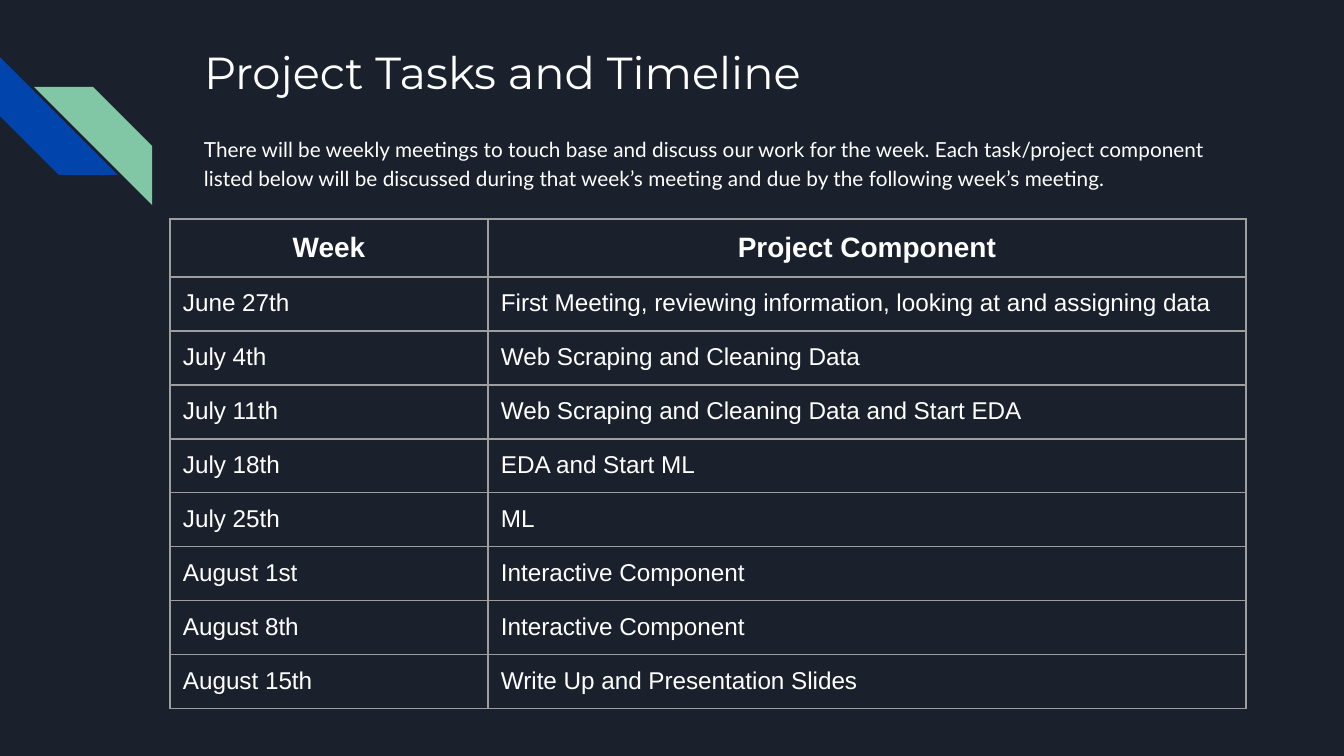
from lxml.etree import SubElement
from pptx import Presentation
from pptx.dml.color import RGBColor
from pptx.enum.shapes import MSO_SHAPE
from pptx.enum.text import MSO_ANCHOR, MSO_AUTO_SIZE, PP_ALIGN
from pptx.oxml.ns import qn
from pptx.util import Emu, Pt

BACKGROUND, WHITE, BLUE, GREEN, GRID = "1B212C", "FFFFFF", "0145AC", "82C7A5", "9E9E9E"
PAD = 13

TITLE = "Project Tasks and Timeline"
INTRO = (
    "There will be weekly meetings to touch base and discuss our work for the week. "
    "Each task/project component listed below will be discussed during that week’s "
    "meeting and due by the following week’s meeting."
)
SCHEDULE = [
    ("Week", "Project Component"),
    ("June 27th", "First Meeting, reviewing information, looking at and assigning data"),
    ("July 4th", "Web Scraping and Cleaning Data"),
    ("July 11th", "Web Scraping and Cleaning Data and Start EDA"),
    ("July 18th", "EDA and Start ML"),
    ("July 25th", "ML"),
    ("August 1st", "Interactive Component"),
    ("August 8th", "Interactive Component"),
    ("August 15th", "Write Up and Presentation Slides"),
]


def px(n):
    return Emu(round(n * 914400 / 134.4))


def color(value):
    return RGBColor.from_string(value)


def set_margins(target):
    """Pad a text frame or a table cell evenly."""
    target.margin_left = target.margin_right = px(PAD)
    target.margin_top = target.margin_bottom = px(PAD)


def style_paragraph(p, font, size, bold=False, align=PP_ALIGN.LEFT):
    p.alignment = align
    p.font.name = font
    p.font.size = Pt(size)
    p.font.bold = bold
    p.font.color.rgb = color(WHITE)


def fill_text(sp, box, text, font, size):
    """Place a text shape and write one top-anchored paragraph in it."""
    sp.left, sp.top, sp.width, sp.height = map(px, box)
    tf = sp.text_frame
    tf.word_wrap = True
    tf.auto_size = MSO_AUTO_SIZE.NONE
    tf.vertical_anchor = MSO_ANCHOR.TOP
    set_margins(tf)
    p = tf.paragraphs[0]
    p.text = text
    style_paragraph(p, font, size)
    return p


def add_stripes(s, x, y, size):
    for dx, dy, rotation, fill in [(0, 0, 270, BLUE), (34, 30, 90, GREEN)]:
        sp = s.shapes.add_shape(
            MSO_SHAPE.DIAGONAL_STRIPE, px(x + dx), px(y + dy), px(size), px(size)
        )
        sp.rotation = rotation
        sp.fill.solid()
        sp.fill.fore_color.rgb = color(fill)
        sp.line.fill.background()
        sp.shadow.inherit = False


def add_heading(s, x, y, w):
    fill_text(s.shapes.title, (x, y, w, 134), TITLE, "Montserrat", 24)
    intro = s.shapes.add_textbox(0, 0, 0, 0)
    p = fill_text(intro, (x, y + 88, w, 99), INTRO, "Lato", 11.1)
    p.line_spacing = 1.15
    p.space_after = Pt(12)


def set_borders(cell):
    tc_pr = cell._tc.get_or_add_tcPr()
    for position, side in enumerate(("a:lnL", "a:lnR", "a:lnT", "a:lnB")):
        ln = SubElement(tc_pr, qn(side), w=str(Pt(0.75)))
        tc_pr.insert(position, ln)
        SubElement(SubElement(ln, qn("a:solidFill")), qn("a:srgbClr"), val=GRID)


def add_schedule(s, x, y, col_widths, header_h, row_h):
    heights = [header_h] + [row_h] * (len(SCHEDULE) - 1)
    table = s.shapes.add_table(
        len(SCHEDULE), len(col_widths), px(x), px(y), px(sum(col_widths)), px(sum(heights))
    ).table
    table.first_row = table.horz_banding = False
    for column, width in zip(table.columns, col_widths):
        column.width = px(width)
    for i, (row, height, texts) in enumerate(zip(table.rows, heights, SCHEDULE)):
        row.height = px(height)
        for cell, text in zip(row.cells, texts):
            cell.fill.background()
            set_margins(cell)
            set_borders(cell)
            cell.text = text
            p = cell.text_frame.paragraphs[0]
            if i == 0:
                style_paragraph(p, "Arial", 15, bold=True, align=PP_ALIGN.CENTER)
            else:
                style_paragraph(p, "Arial", 13)


def main():
    prs = Presentation()
    prs.slide_width, prs.slide_height = px(1344), px(756)
    s = prs.slides.add_slide(prs.slide_layouts[5])
    s.background.fill.solid()
    s.background.fill.fore_color.rgb = color(BACKGROUND)
    add_stripes(s, 0, 57, 118)
    add_heading(s, 191, 32, 1035)
    add_schedule(s, 170, 219, (318, 758), 58, 54)
    prs.save("out.pptx")


if __name__ == "__main__":
    main()
